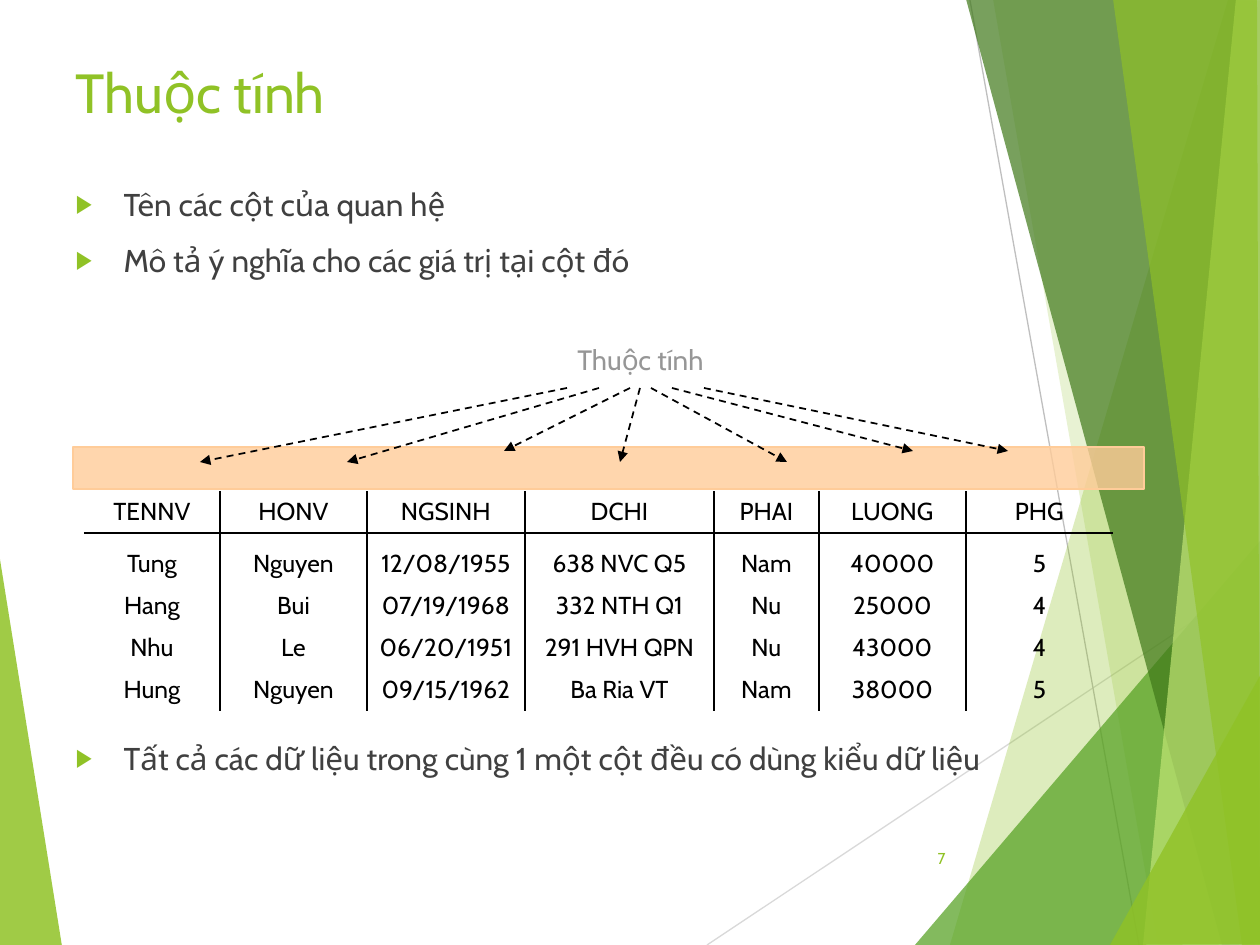
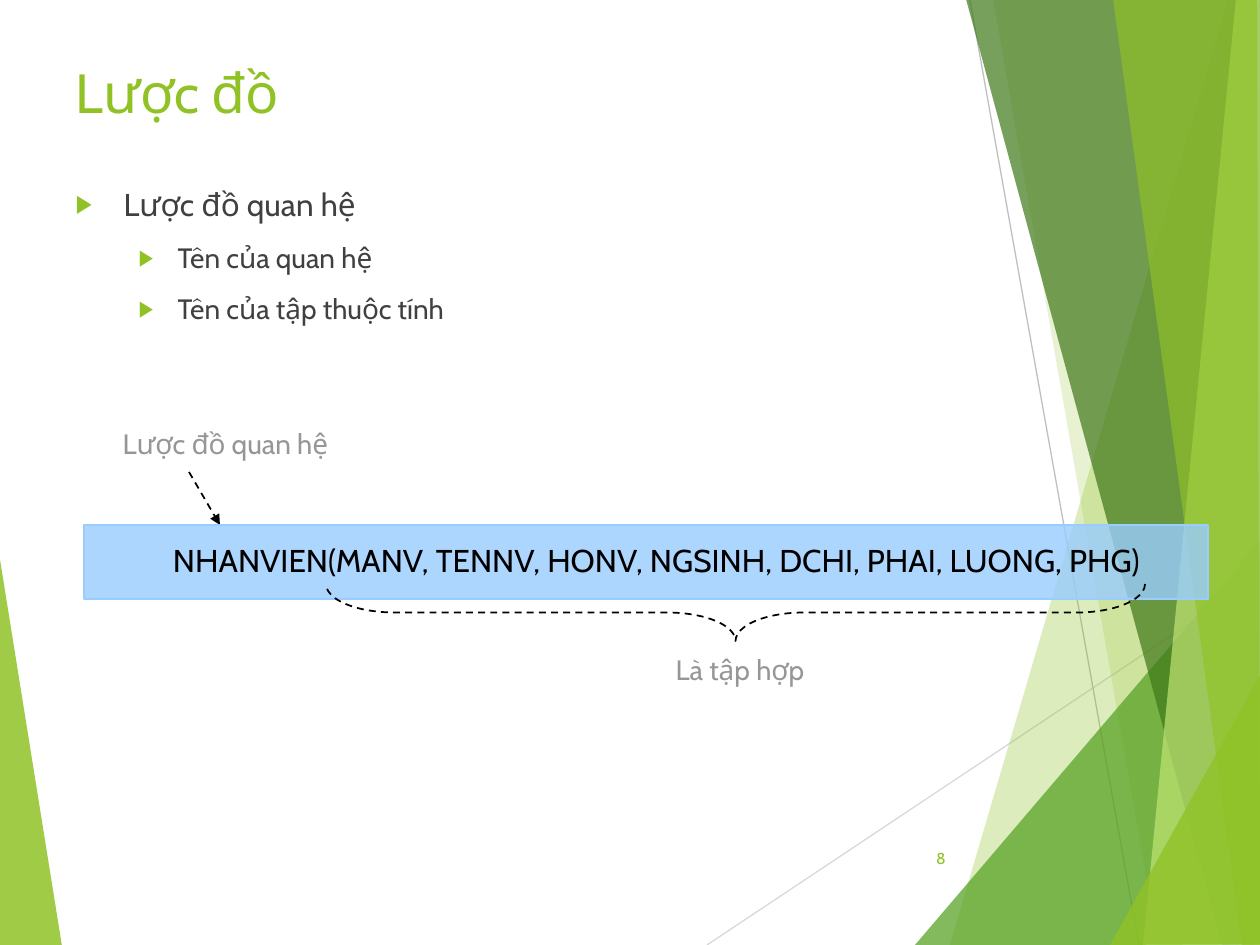
import pptx
import pptx.dml.color
import pptx.enum.dml
import pptx.enum.shapes
import pptx.enum.text
import pptx.oxml
import pptx.oxml.ns
import pptx.util

EMU_PER_PIXEL = 914400 / 126
GREEN, GREY, BLACK, DARK = "90C226", "969696", "000000", "404040"
PEACH, BLUE = "FFCC99", "99CCFF"
ALIGN = pptx.enum.text.PP_ALIGN
ANCHOR = pptx.enum.text.MSO_ANCHOR
SHAPE = pptx.enum.shapes.MSO_SHAPE
DASH = pptx.enum.dml.MSO_LINE.DASH
qn = pptx.oxml.ns.qn

LEFT_BAND = (GREEN, 85, [(-1, 553), (62, 946), (-1, 945)])
RIGHT_BANDS = [
    (GREEN, 30, [(1228, 0), (950, 945), (1262, 946), (1261, 1)]),
    (GREEN, 20, [(993, -1), (1158, 945), (1261, 945), (1261, -1)]),
    ("54A021", 72, [(915, 945), (1260, 541), (1261, 945)]),
    ("3F7819", 70, [(966, -1), (1222, 945), (1261, 944), (1261, -1)]),
    ("C0E474", 70, [(1236, -1), (1143, 945), (1261, 945), (1260, -1)]),
    (GREEN, 65, [(1113, -1), (1242, 945), (1260, 945), (1257, -1)]),
    (GREEN, 80, [(1110, 945), (1261, 674), (1261, 944)]),
]
THIN_LINES = [("D9D9D9", (707, 945), (1261, 576)), ("BFBFBF", (970, 0), (1139, 945))]


def px(length):
    return pptx.util.Emu(round(length * EMU_PER_PIXEL))


def rgb(color):
    return pptx.dml.color.RGBColor.from_string(color)


def assign(target, **values):
    for name, value in values.items():
        setattr(target, name, value)


def add_xml(parent, xml, index=None):
    namespace = pptx.oxml.ns.nsdecls("a")
    tag, rest = xml.split(" ", 1)
    element = pptx.oxml.parse_xml(f"{tag} {namespace} {rest}")
    parent.insert(len(parent) if index is None else index, element)


class Deck:
    """Holds the shared style and the slide being drawn."""

    font_name = "Cabin"

    def __init__(self):
        self.presentation = pptx.Presentation()
        assign(self.presentation, slide_width=px(1260), slide_height=px(945))
        self.layout = self.presentation.slide_layouts[1]
        for placeholder in list(self.layout.placeholders)[2:]:
            self.layout.shapes.element.remove(placeholder.element)

    def new_slide(self, title, number):
        self.slide = self.presentation.slides.add_slide(self.layout)
        self.shapes = self.slide.shapes
        if len(self.presentation.slides) == 1:
            self.decorate_layout()
        self.place(self.shapes.title, 63, 49, 1134, 85)
        self.set_text(self.shapes.title.text_frame, title, 31.5, GREEN, ALIGN.LEFT, ANCHOR.MIDDLE)
        self.text(number, (888, 833, 70, 50), 9, GREEN, ALIGN.RIGHT, ANCHOR.MIDDLE)

    def decorate_layout(self):
        ornaments = [self.polygon(*LEFT_BAND)]
        ornaments += [self.line(start, end, color, 0.75) for color, start, end in THIN_LINES]
        ornaments += [self.polygon(*band) for band in RIGHT_BANDS]
        for ornament in ornaments:
            self.layout.shapes.element.append(ornament.element)

    def place(self, shape, left, top, width, height):
        assign(shape, left=px(left), top=px(top), width=px(width), height=px(height))

    def add_run(self, paragraph, content, size, color):
        run = paragraph.add_run()
        run.text = content
        assign(run.font, name=self.font_name, size=pptx.util.Pt(size))
        run.font.color.rgb = rgb(color)

    def set_text(self, frame, content, size, color, align, anchor):
        assign(frame, word_wrap=True, vertical_anchor=anchor,
               auto_size=pptx.enum.text.MSO_AUTO_SIZE.NONE)
        frame.paragraphs[0].alignment = align
        self.add_run(frame.paragraphs[0], content, size, color)

    def text(self, content, box, size, color, align=ALIGN.CENTER, anchor=ANCHOR.TOP):
        shape = self.shapes.add_textbox(*map(px, box))
        self.set_text(shape.text_frame, content, size, color, align, anchor)

    def bullets(self, items):
        body = self.slide.placeholders[1]
        self.place(body, 63, 179, 1134, 667)
        frame = body.text_frame
        assign(frame, word_wrap=True, vertical_anchor=ANCHOR.TOP,
               auto_size=pptx.enum.text.MSO_AUTO_SIZE.NONE)
        for index, (content, level, space) in enumerate(items):
            paragraph = frame.add_paragraph() if index else frame.paragraphs[0]
            assign(paragraph, level=level, space_before=pptx.util.Pt(space))
            self.add_run(paragraph, content, (18, 16)[level], DARK)
        for (_, level, _), properties in zip(items, body.element.iter(qn("a:pPr"))):
            properties.set("marL", str(px((48, 102)[level])))
            properties.set("indent", str(px((-48, -39)[level])))
            add_xml(properties, f'<a:buClr ><a:srgbClr val="{GREEN}"/></a:buClr>')
            add_xml(properties, '<a:buSzPct val="80000"/>')
            add_xml(properties, '<a:buChar char="▶"/>')

    def fill(self, shape, color, opacity):
        shape.shadow.inherit = False
        shape.fill.solid()
        shape.fill.fore_color.rgb = rgb(color)
        color_element = shape.element.spPr.find(qn("a:solidFill"))[0]
        add_xml(color_element, f'<a:alpha val="{opacity * 1000}"/>')

    def outline(self, shape, color, width, dash=None):
        shape.line.color.rgb = rgb(color)
        assign(shape.line, width=pptx.util.Pt(width), dash_style=dash)

    def polygon(self, color, opacity, points):
        builder = self.shapes.build_freeform(*points[0], scale=EMU_PER_PIXEL)
        builder.add_line_segments(points[1:], close=True)
        shape = builder.convert_to_shape()
        self.fill(shape, color, opacity)
        shape.line.fill.background()
        return shape

    def line(self, start, end, color, width, dash=None):
        connector = self.shapes.add_connector(
            pptx.enum.shapes.MSO_CONNECTOR.STRAIGHT, *map(px, start + end))
        self.outline(connector, color, width, dash)
        add_xml(connector.element.spPr, "<a:effectLst />")
        return connector

    def arrow(self, start, end):
        connector = self.line(start, end, BLACK, 1, DASH)
        add_xml(connector.element.spPr.find(qn("a:ln")), '<a:tailEnd type="triangle"/>')

    def band(self, box, color):
        shape = self.shapes.add_shape(SHAPE.RECTANGLE, *map(px, box))
        self.fill(shape, color, 80)
        self.outline(shape, color, 1)

    def brace_below(self, left, top, width, height):
        center_x, center_y = left + width / 2, top + height / 2
        box = (center_x - height / 2, center_y - width / 2, height, width)
        shape = self.shapes.add_shape(SHAPE.RIGHT_BRACE, *map(px, box))
        shape.rotation = 90
        shape.adjustments[0], shape.adjustments[1] = 1.2, 0.5
        shape.shadow.inherit = False
        shape.fill.background()
        self.outline(shape, BLACK, 1, DASH)

    def borders(self, cell, sides):
        properties = cell._tc.get_or_add_tcPr()
        for index, side in enumerate("LRTB"):
            paint = (f'<a:solidFill><a:srgbClr val="{BLACK}"/></a:solidFill>'
                     if side in sides else "<a:noFill/>")
            add_xml(properties, f'<a:ln{side} w="12700">{paint}</a:ln{side}>', index)

    def table(self, edges, top, heights, rows):
        box = (edges[0], top, edges[-1] - edges[0], sum(heights))
        table = self.shapes.add_table(len(rows), len(rows[0]), *map(px, box)).table
        assign(table, first_row=False, horz_banding=False)
        for column, left, right in zip(table.columns, edges, edges[1:]):
            column.width = px(right - left)
        last = len(rows[0]) - 1
        for row_index, (values, height) in enumerate(zip(rows, heights)):
            table.rows[row_index].height = px(height)
            for column_index, value in enumerate(values):
                cell = table.cell(row_index, column_index)
                assign(cell, margin_left=0, margin_right=0, margin_bottom=0,
                       margin_top=px(height - min(heights)), vertical_anchor=ANCHOR.MIDDLE)
                cell.fill.background()
                sides = ("L" if column_index else "") + ("R" if column_index < last else "")
                sides += {0: "B", 1: "T"}.get(row_index, "")
                self.borders(cell, sides)
                paragraph = cell.text_frame.paragraphs[0]
                paragraph.alignment = ALIGN.CENTER
                self.add_run(paragraph, value, 14, BLACK)


def attribute_slide(deck):
    deck.new_slide("Thuộc tính", "7")
    deck.bullets([
        ("Tên các cột của quan hệ", 0, 10),
        ("Mô tả ý nghĩa cho các giá trị tại cột đó", 0, 10),
        ("Tất cả các dữ liệu trong cùng 1 một cột đều có dùng kiểu dữ liệu", 0, 263),
    ])
    deck.band((73, 447, 1071, 42), PEACH)
    deck.table([84, 220, 367, 525, 714, 819, 966, 1113], 491, [42, 52, 42, 42, 42], [
        ["TENNV", "HONV", "NGSINH", "DCHI", "PHAI", "LUONG", "PHG"],
        ["Tung", "Nguyen", "12/08/1955", "638 NVC Q5", "Nam", "40000", "5"],
        ["Hang", "Bui", "07/19/1968", "332 NTH Q1", "Nu", "25000", "4"],
        ["Nhu", "Le", "06/20/1951", "291 HVH QPN", "Nu", "43000", "4"],
        ["Hung", "Nguyen", "09/15/1962", "Ba Ria VT", "Nam", "38000", "5"],
    ])
    deck.text("Thuộc tính", (504, 336, 273, 47), 16, GREY)
    starts = [567, 599, 630, 640, 651, 672, 704]
    ends = [(200, 462), (347, 462), (504, 451), (620, 462), (787, 462), (913, 451), (1008, 451)]
    for start, end in zip(starts, ends):
        deck.arrow((start, 388), end)


def schema_slide(deck):
    deck.new_slide("Lược đồ", "8")
    deck.bullets([
        ("Lược đồ quan hệ", 0, 10),
        ("Tên của quan hệ", 1, 10),
        ("Tên của tập thuộc tính", 1, 10),
    ])
    deck.text("Lược đồ quan hệ", (31, 420, 389, 47), 16, GREY)
    deck.arrow((189, 472), (220, 525))
    deck.band((84, 525, 1124, 74), BLUE)
    deck.text("NHANVIEN(MANV, TENNV, HONV, NGSINH, DCHI, PHAI, LUONG, PHG)",
              (116, 535, 1081, 51), 18, BLACK)
    deck.brace_below(326, 584, 819, 57)
    deck.text("Là tập hợp", (609, 646, 262, 47), 16, GREY)


deck = Deck()
attribute_slide(deck)
schema_slide(deck)
deck.presentation.save("out.pptx")
